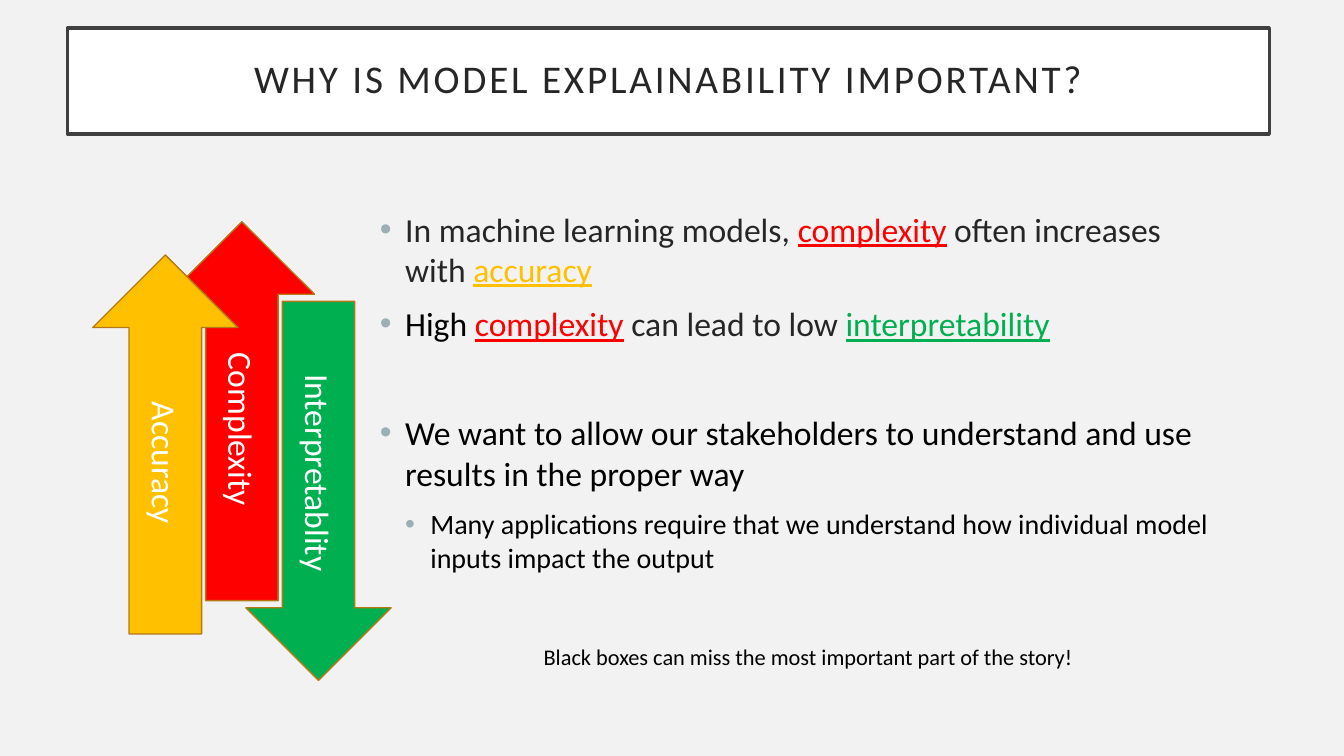
from lxml import etree
from pptx import Presentation
from pptx import util as u
from pptx.dml.color import RGBColor
from pptx.enum import shapes, text
from pptx.oxml.ns import qn

INK, BLACK, WHITE = "262626", "000000", "FFFFFF"
RED, AMBER, GREEN = "FF0000", "FFC000", "00B050"


def rgb(value):
    return RGBColor.from_string(value)


def add_run(p, content, size=24, color=BLACK, underline=False, spacing=0):
    """Append a run; spacing is the letter spacing in points."""
    r = p.add_run()
    r.text = content
    r.font.name = "Calibri"
    r.font.size = u.Pt(size)
    r.font.color.rgb = rgb(color)
    if underline:
        r.font.underline = True
    if spacing:
        r.font._element.set("spc", str(spacing * 100))


def set_indent(p, left, bullet):
    """Indent a paragraph by inches, hanging a bullet in front if asked."""
    pPr = p._p.get_or_add_pPr()
    pPr.set("marL", str(u.Inches(left)))
    pPr.set("indent", str(u.Inches(-0.25 if bullet else 0)))
    if bullet:
        color = etree.SubElement(pPr, qn("a:buClr"))
        etree.SubElement(color, qn("a:srgbClr"), val="9BAFB5")
        font = etree.SubElement(pPr, qn("a:buFont"))
        font.set("typeface", "Arial")
        etree.SubElement(pPr, qn("a:buChar"), char="•")
    else:
        etree.SubElement(pPr, qn("a:buNone"))


class Deck:
    """Slide builder; every box is (left, top, width, height) in percent of the slide."""

    def __init__(self, background):
        self.prs = Presentation()
        self.prs.slide_width, self.prs.slide_height = u.Inches(13.33), u.Inches(7.5)
        self.slide = self.prs.slides.add_slide(self.prs.slide_layouts[6])
        fill = self.slide.background.fill
        fill.solid()
        fill.fore_color.rgb = rgb(background)

    def place(self, box):
        sides = (self.prs.slide_width, self.prs.slide_height) * 2
        return [int(share * side / 100) for share, side in zip(box, sides)]

    def shape(self, kind, box, label, fill, line, width, **fmt):
        sp = self.slide.shapes.add_shape(kind, *self.place(box))
        sp.shadow.inherit = False
        sp.fill.solid()
        sp.fill.fore_color.rgb = rgb(fill)
        sp.line.color.rgb = rgb(line)
        sp.line.width = u.Pt(width)
        tf = sp.text_frame
        tf.word_wrap = True
        tf.vertical_anchor = text.MSO_ANCHOR.MIDDLE
        p = tf.paragraphs[0]
        p.alignment = text.PP_ALIGN.CENTER
        add_run(p, label, **fmt)
        return tf

    def title(self, box, label):
        tf = self.shape(shapes.MSO_SHAPE.RECTANGLE, box, label, WHITE, "404040", 2.5,
                        size=28, color=INK, spacing=2)
        tf.margin_left = tf.margin_right = tf.margin_top = tf.margin_bottom = u.Inches(0.2)
        tf.paragraphs[0].line_spacing = 0.9

    def arrow(self, kind, box, label, fill):
        tf = self.shape(kind, box, label, fill, "B67815", 1, color=WHITE)
        tf._txBody.bodyPr.set("vert", "vert")

    def body(self, box):
        tf = self.slide.shapes.add_textbox(*self.place(box)).text_frame
        tf.word_wrap = True
        return tf

    def paragraph(self, tf, *runs, size=24, left=0.25, before=10, bullet=True):
        """Add a paragraph of (text, colour) runs; the accent colours are underlined."""
        p = tf.paragraphs[0] if not tf.text else tf.add_paragraph()
        p.space_before = u.Pt(before)
        set_indent(p, left, bullet)
        if not bullet:
            p.alignment = text.PP_ALIGN.CENTER
        for content, color in runs:
            add_run(p, content, size=size, color=color,
                    underline=color in (RED, AMBER, GREEN))


def main():
    deck = Deck("F2F2F2")

    section_gap = 49
    tf = deck.body((27.53, 26.93, 63.32, 66.4))
    deck.paragraph(tf, ("In machine learning models, ", INK), ("complexity", RED),
                   (" often increases with ", INK), ("accuracy", AMBER))
    deck.paragraph(tf, ("High ", BLACK), ("complexity", RED),
                   (" can lead to low ", INK), ("interpretability", GREEN))
    deck.paragraph(tf, ("We want to allow our stakeholders to understand and use "
                        "results in the proper way", BLACK), before=section_gap)
    deck.paragraph(tf, ("Many applications require that we understand how individual "
                        "model inputs impact the output", BLACK), size=20, left=0.5)
    deck.paragraph(tf, ("Black boxes can miss the most important part of the story!", BLACK),
                   size=16, before=section_gap, bullet=False)

    up, down = shapes.MSO_SHAPE.UP_ARROW, shapes.MSO_SHAPE.DOWN_ARROW
    arrows = [(2, down, 39.87, "Interpretablity", GREEN),
              (1, up, 29.33, "Complexity", RED),
              (0, up, 33.73, "Accuracy", AMBER)]
    for column, kind, top, label, fill in arrows:
        deck.arrow(kind, (6.9 + 5.7 * column, top, 10.8, 50.13), label, fill)

    deck.title((5.03, 3.73, 89.42, 14), "WHY IS MODEL EXPLAINABILITY IMPORTANT?")
    deck.prs.save("out.pptx")


if __name__ == "__main__":
    main()
